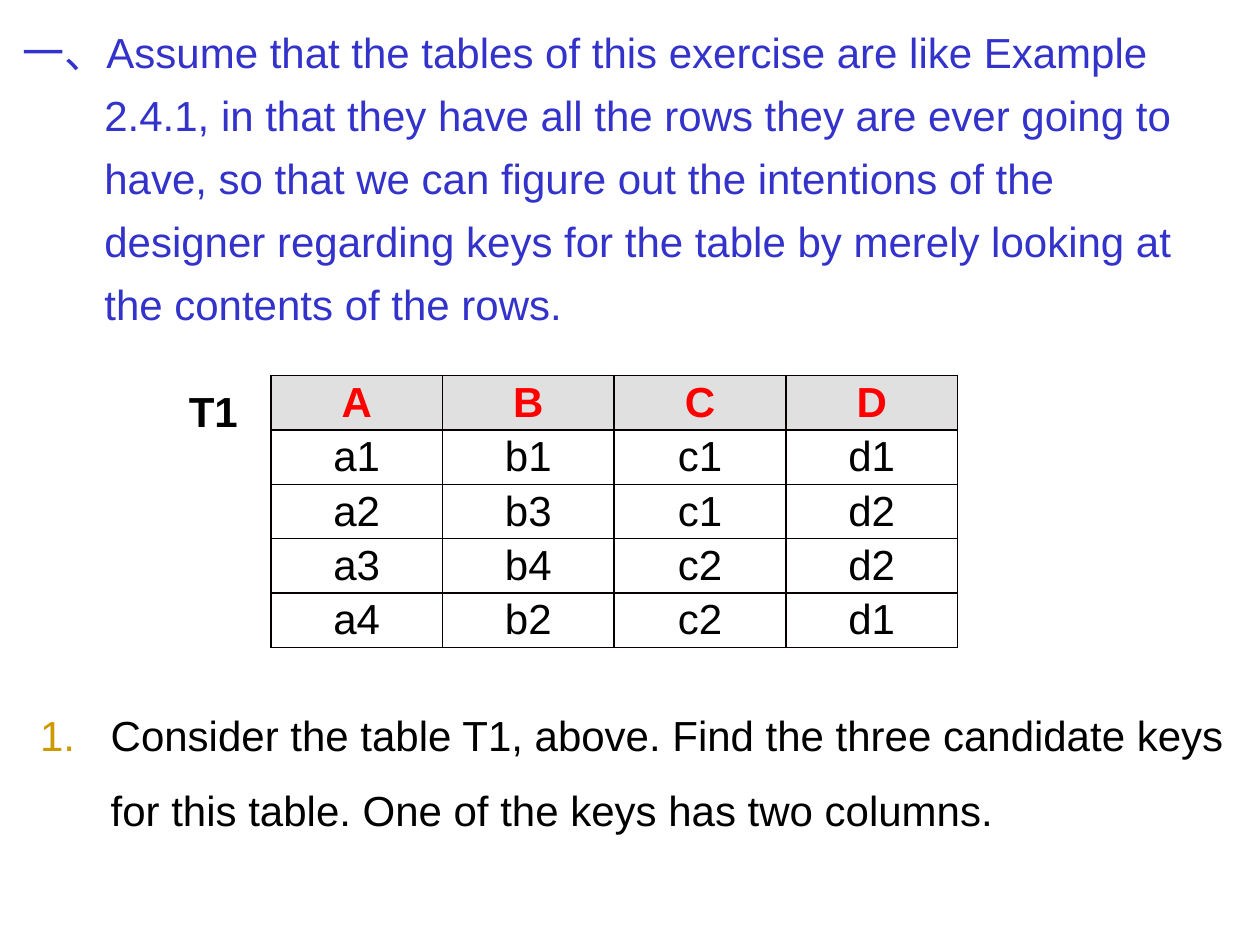
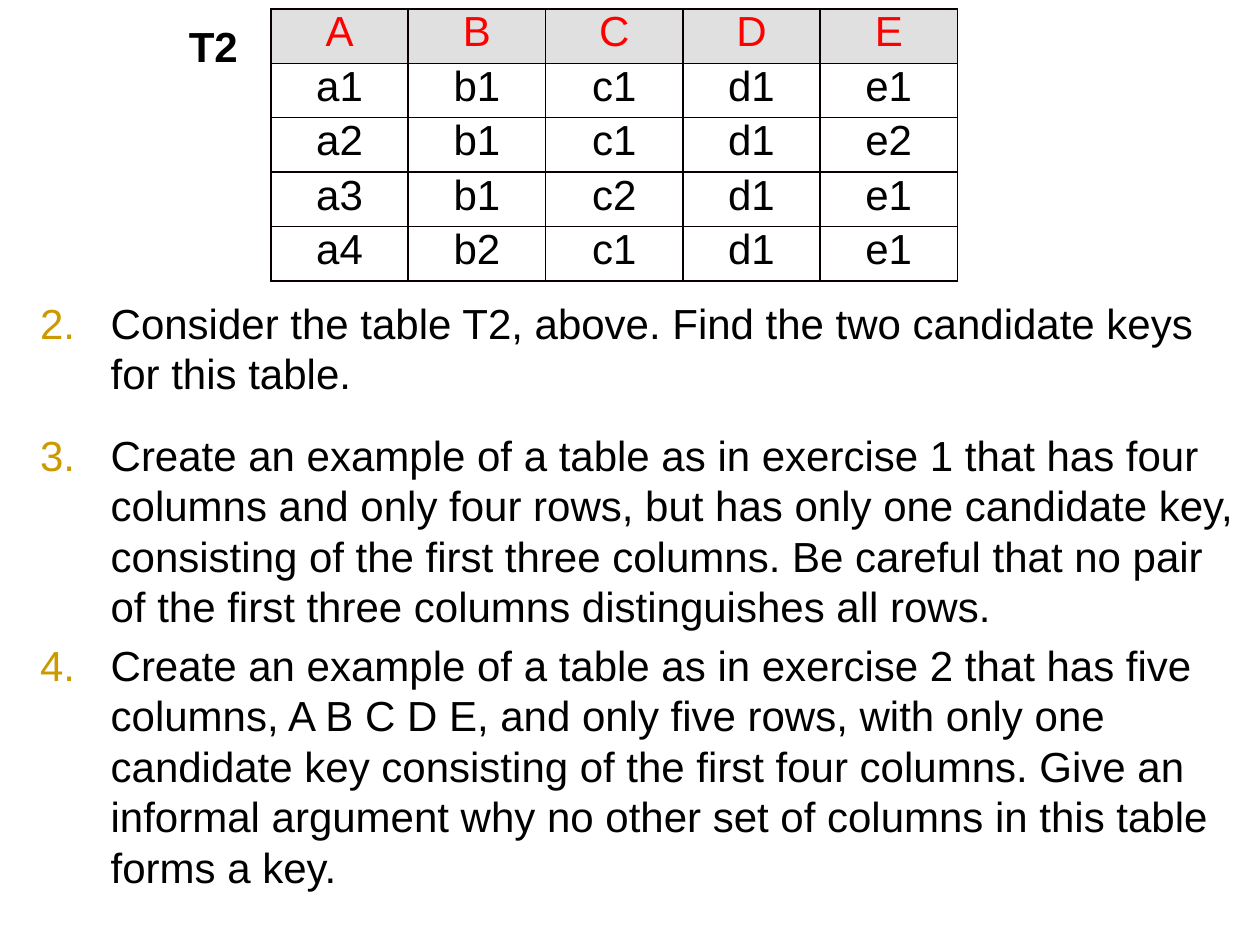
import dataclasses
import typing

import lxml.etree
import pptx
import pptx.dml.color
import pptx.enum.text
import pptx.oxml.ns
import pptx.util

Inches = pptx.util.Inches
Pt = pptx.util.Pt
qn = pptx.oxml.ns.qn

COLOURS = {
    "intro": "3333CC",
    "text": "000000",
    "number": "CC9900",
    "header": "FF0000",
    "header_fill": "E0E0E0",
    "border": "080000",
}
BASE_FONT = {"name": "Arial", "size": Pt(24), "bold": False}
TOP = pptx.enum.text.MSO_ANCHOR.TOP
MIDDLE = pptx.enum.text.MSO_ANCHOR.MIDDLE


@dataclasses.dataclass
class TextBlock:
    left: float
    top: float
    width: float
    height: float
    paragraphs: list[str]
    colour: str = "text"
    bold: bool = False
    indent: float = 0
    first_number: int = 0
    line_spacing: typing.Optional[float] = None


@dataclasses.dataclass
class Relation:
    name: str
    top: float
    label_top: float
    rows: list[str]
    bold_header: bool
    anchor: pptx.enum.text.MSO_ANCHOR


def rgb(name: str) -> pptx.dml.color.RGBColor:
    return pptx.dml.color.RGBColor.from_string(COLOURS[name])


def apply(target: typing.Any, values: dict[str, typing.Any]) -> None:
    for name, value in values.items():
        setattr(target, name, value)


def style_font(font: typing.Any, colour: str, bold: bool) -> None:
    apply(font, BASE_FONT | {"bold": bold})
    font.color.rgb = rgb(colour)


def add_solid_fill(parent: typing.Any, tag: str, colour: str) -> None:
    fill = lxml.etree.SubElement(parent, qn(tag))
    target = fill if tag == "a:buClr" else lxml.etree.SubElement(fill, qn("a:solidFill"))
    lxml.etree.SubElement(target, qn("a:srgbClr"), val=COLOURS[colour])


def set_list_format(para: typing.Any, indent: float, first_number: int) -> None:
    """Hang the first line and, for a list item, number it."""
    properties = para._p.get_or_add_pPr()
    properties.set("marL", str(Inches(indent)))
    properties.set("indent", str(-Inches(indent)))
    if first_number:
        add_solid_fill(properties, "a:buClr", "number")
        lxml.etree.SubElement(properties, qn("a:buAutoNum"),
                              type="arabicPeriod", startAt=str(first_number))


def add_text(page: typing.Any, block: TextBlock) -> None:
    box = page.shapes.add_textbox(Inches(block.left), Inches(block.top),
                                  Inches(block.width), Inches(block.height))
    frame = box.text_frame
    apply(frame, {"word_wrap": True,
                  "auto_size": pptx.enum.text.MSO_AUTO_SIZE.SHAPE_TO_FIT_TEXT})
    for index, words in enumerate(block.paragraphs):
        para = frame.add_paragraph() if index else frame.paragraphs[0]
        if block.indent:
            set_list_format(para, block.indent, block.first_number)
        if block.line_spacing:
            para.line_spacing = block.line_spacing
        if index:
            para.space_before = Pt(4.8)
        span = para.add_run()
        span.text = words
        style_font(span.font, block.colour, block.bold)


def add_question(page: typing.Any, top: float, height: float, first_number: int,
                 paragraphs: list[str], line_spacing: typing.Optional[float] = None) -> None:
    add_text(page, TextBlock(0.22, top, 9.72, height, paragraphs, indent=0.56,
                             first_number=first_number, line_spacing=line_spacing))


def add_borders(cell: typing.Any) -> None:
    properties = cell._tc.get_or_add_tcPr()
    for position, side in enumerate(("a:lnL", "a:lnR", "a:lnT", "a:lnB")):
        line = lxml.etree.Element(qn(side), w=str(Pt(1)))
        fill = lxml.etree.SubElement(line, qn("a:solidFill"))
        lxml.etree.SubElement(fill, qn("a:srgbClr"), val=COLOURS["border"])
        properties.insert(position, line)


def add_relation(page: typing.Any, relation: Relation) -> None:
    """Draw a relation as a table with its name on the left."""
    rows = [row.split() for row in relation.rows]
    table = page.shapes.add_table(len(rows), len(rows[0]), Inches(2.15), Inches(relation.top),
                                  Inches(5.45), Inches(2.16)).table
    apply(table, {"first_row": False, "horz_banding": False})
    for row_index, row in enumerate(rows):
        is_header = row_index == 0
        for column_index, value in enumerate(row):
            cell = table.cell(row_index, column_index)
            apply(cell, {"margin_left": Inches(0.07), "margin_right": Inches(0.07),
                         "margin_top": 0, "margin_bottom": 0,
                         "vertical_anchor": relation.anchor})
            if is_header:
                cell.fill.solid()
                cell.fill.fore_color.rgb = rgb("header_fill")
            else:
                cell.fill.background()
            add_borders(cell)
            para = cell.text_frame.paragraphs[0]
            para.alignment = pptx.enum.text.PP_ALIGN.CENTER
            span = para.add_run()
            span.text = value
            style_font(span.font, "header" if is_header else "text",
                       is_header and relation.bold_header)
    add_text(page, TextBlock(1.4, relation.label_top, 0.67, 0.5, [relation.name], bold=True))


T1 = Relation("T1", 2.98, 3.01,
              ["A B C D", "a1 b1 c1 d1", "a2 b3 c1 d2", "a3 b4 c2 d2", "a4 b2 c2 d1"],
              bold_header=True, anchor=MIDDLE)
T2 = Relation("T2", 0.07, 0.11,
              ["A B C D E", "a1 b1 c1 d1 e1", "a2 b1 c1 d1 e2", "a3 b1 c2 d1 e1",
               "a4 b2 c1 d1 e1"],
              bold_header=False, anchor=TOP)
INTRO = TextBlock(
    0.08, 0.06, 9.72, 2.62,
    ["一、Assume that the tables of this exercise are like Example 2.4.1, in that they have "
     "all the rows they are ever going to have, so that we can figure out the intentions of "
     "the designer regarding keys for the table by merely looking at the contents of the rows."],
    colour="intro", indent=0.65, line_spacing=1.25)


def main() -> None:
    deck = pptx.Presentation()
    apply(deck, {"slide_width": Inches(10), "slide_height": Inches(7.5)})
    blank = deck.slide_layouts[6]

    # Slide 1: introduction and the first relation
    page = deck.slides.add_slide(blank)
    add_text(page, INTRO)
    add_relation(page, T1)
    add_question(page, 5.38, 1.31, 1, [
        "Consider the table T1, above. Find the three candidate keys for this table. "
        "One of the keys has two columns."], line_spacing=1.5)

    # Slide 2: the second relation and the remaining questions
    page = deck.slides.add_slide(blank)
    add_relation(page, T2)
    add_question(page, 2.31, 0.91, 2, [
        "Consider the table T2, above. Find the two candidate keys for this table."])
    add_question(page, 3.36, 3.82, 3, [
        "Create an example of a table as in exercise 1 that has four columns and only four "
        "rows, but has only one candidate key, consisting of the first three columns. Be "
        "careful that no pair of the first three columns distinguishes all rows.",
        "Create an example of a table as in exercise 2 that has five columns, A B C D E, and "
        "only five rows, with only one candidate key consisting of the first four columns. "
        "Give an informal argument why no other set of columns in this table forms a key."])

    deck.save("out.pptx")


if __name__ == "__main__":
    main()
